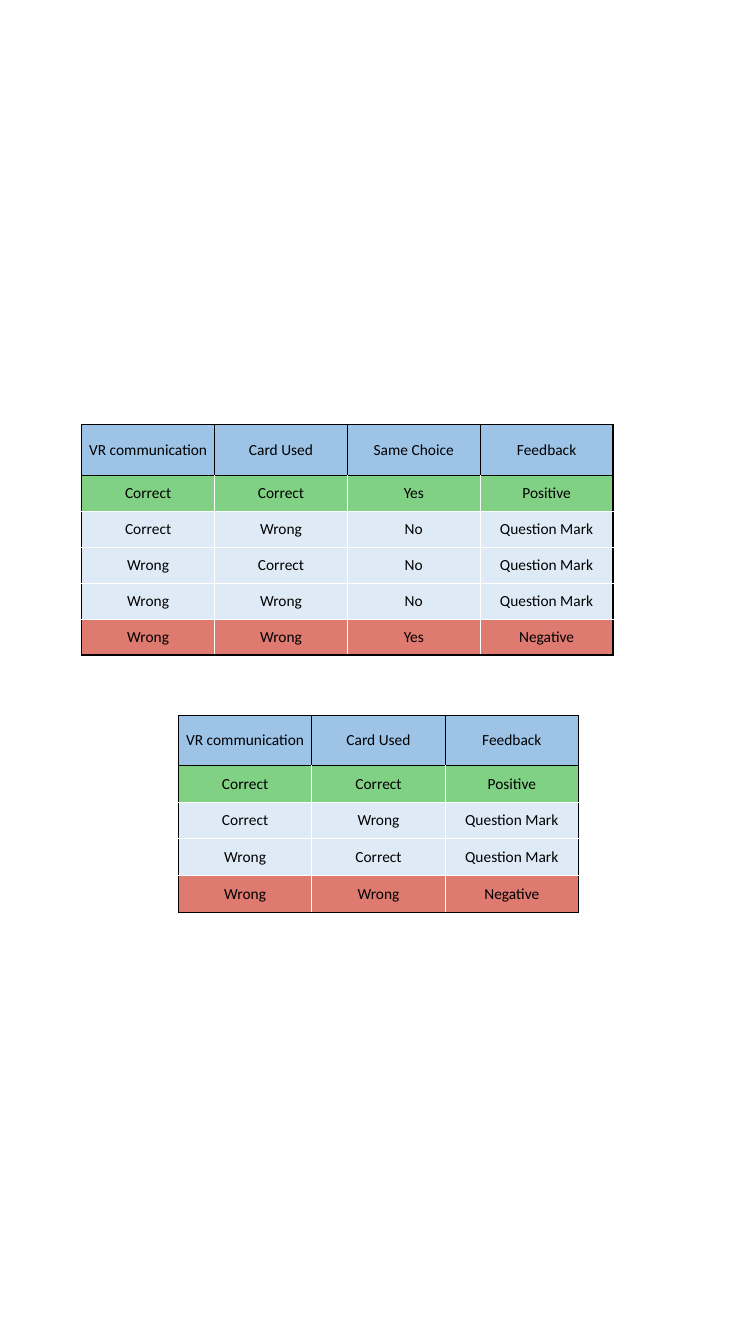
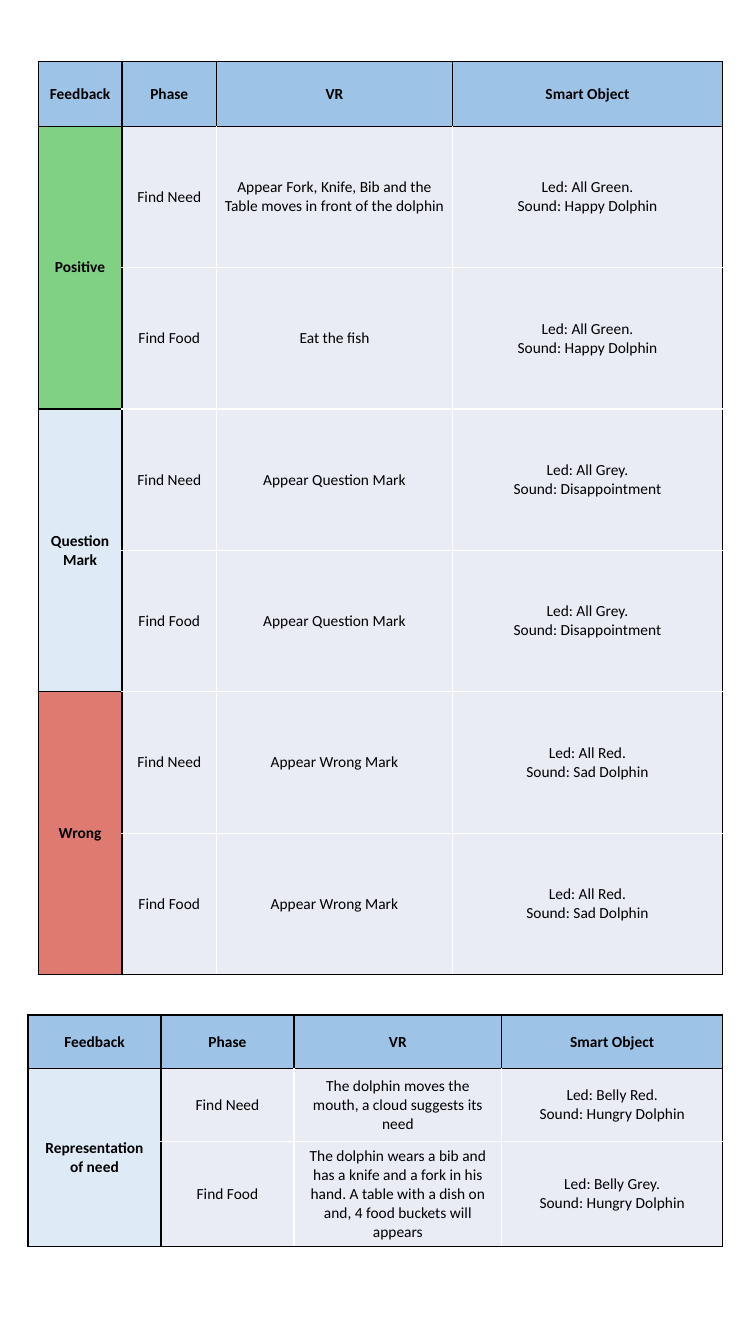
"""Build two slides of feedback tables for a dolphin learning game."""
from lxml import etree
from pptx import Presentation
from pptx.dml.color import RGBColor
from pptx.enum import text
from pptx.oxml import ns
from pptx.util import Pt

COLORS = {
    "ink": "000000", "grid": "FFFFFF", "header": "9DC3E6", "body": "E9EBF5",
    "good": "81D185", "unsure": "DEEBF7", "bad": "DE7A70",
}
OUTCOMES = {"Positive": "good", "Negative": "bad", "Wrong": "bad"}
FONT, SIZE, LINE = "Calibri", Pt(11), Pt(1)
TIGHT, LOOSE = (Pt(4.5), Pt(2.25)), (Pt(7.2), Pt(3.6))

CHOICES = [
    ("VR communication", "Card Used", "Same Choice", "Feedback"),
    ("Correct", "Correct", "Yes", "Positive"),
    ("Correct", "Wrong", "No", "Question Mark"),
    ("Wrong", "Correct", "No", "Question Mark"),
    ("Wrong", "Wrong", "No", "Question Mark"),
    ("Wrong", "Wrong", "Yes", "Negative"),
]
CARDS = [
    ("VR communication", "Card Used", "Feedback"),
    ("Correct", "Correct", "Positive"),
    ("Correct", "Wrong", "Question Mark"),
    ("Wrong", "Correct", "Question Mark"),
    ("Wrong", "Wrong", "Negative"),
]
PHASE_HEADER = ("Feedback", "Phase", "VR", "Smart Object")
REACTIONS = [
    ("Positive", "Appear Fork, Knife, Bib and the Table moves in front of the dolphin",
     "Eat the fish", "Led: All Green.\nSound: Happy Dolphin"),
    ("Question Mark", "Appear Question Mark", "Appear Question Mark",
     "Led: All Grey.\nSound: Disappointment"),
    ("Wrong", "Appear Wrong Mark", "Appear Wrong Mark",
     "Led: All Red.\nSound: Sad Dolphin"),
]
NEEDS = [
    PHASE_HEADER,
    ("Representation of need", "Find Need",
     "The dolphin moves the mouth, a cloud suggests its need",
     "Led: Belly Red.\nSound: Hungry Dolphin"),
    ("", "Find Food",
     "The dolphin wears a bib and has a knife and a fork in his hand. "
     "A table with a dish on and, 4 food buckets will appears",
     "Led: Belly Grey.\nSound: Hungry Dolphin"),
]


def reaction_rows():
    """Return the header and a need row and a food row for each reaction."""
    rows = [PHASE_HEADER]
    for label, need, food, signal in REACTIONS:
        rows += [(label, "Find Need", need, signal), ("", "Find Food", food, signal)]
    return rows


def set_borders(cell, edges):
    """Draw each edge of a cell, dark where its flag is true."""
    tc_pr = cell._tc.get_or_add_tcPr()
    for side, dark in zip("LRTB", edges):
        ln = etree.SubElement(tc_pr, ns.qn(f"a:ln{side}"), w=str(LINE))
        fill = etree.SubElement(ln, ns.qn("a:solidFill"))
        color = COLORS["ink" if dark else "grid"]
        etree.SubElement(fill, ns.qn("a:srgbClr"), val=color)


def style_cell(cell, content, fill, bold, margins):
    """Fill a cell and set its centred text."""
    cell.fill.solid()
    cell.fill.fore_color.rgb = RGBColor.from_string(COLORS[fill])
    cell.margin_left = cell.margin_right = margins[0]
    cell.margin_top = cell.margin_bottom = margins[1]
    cell.vertical_anchor = text.MSO_ANCHOR.MIDDLE
    cell.text = content
    for p in cell.text_frame.paragraphs:
        p.alignment = text.PP_ALIGN.CENTER
        p.font.name, p.font.size, p.font.bold = FONT, SIZE, bold
        p.font.color.rgb = RGBColor.from_string(COLORS["ink"])


def add_feedback_table(slide, left, top, widths, heights, rows,
                       grouped=False, margins=TIGHT):
    """Add a table coloured by outcome; grouped merges labels over row pairs."""
    last_row, last_col = len(rows) - 1, len(widths) - 1
    table = slide.shapes.add_table(
        len(rows), len(widths), Pt(left), Pt(top),
        Pt(sum(widths)), Pt(sum(heights))).table
    table.first_row = table.horz_banding = False
    for column, width in zip(table.columns, widths):
        column.width = Pt(width)
    for row, height in zip(table.rows, heights):
        row.height = Pt(height)
    for i, values in enumerate(rows):
        outcome = OUTCOMES.get(values[0 if grouped else -1], "unsure")
        for j, content in enumerate(values):
            label = grouped and j == 0
            framed = i == 0 or label
            fill = "header" if i == 0 else "body" if grouped and j else outcome
            cell = table.cell(i, j)
            set_borders(cell, (
                framed or j == 0 or (grouped and j == 1),
                framed or j == last_col,
                framed or i == 1,
                framed or i == last_row))
            style_cell(cell, content, fill, grouped and framed, margins)
    if grouped:
        for i in range(1, last_row, 2):
            table.cell(i, 0).merge(table.cell(i + 1, 0))


def main():
    """Build and save the deck."""
    prs = Presentation()
    prs.slide_width, prs.slide_height = Pt(540), Pt(960)
    blank = prs.slide_layouts[6]

    s = prs.slides.add_slide(blank)
    add_feedback_table(s, 127.5, 511.2, [95.25] * 3, [35.6] + [26.2] * 4, CARDS)
    add_feedback_table(s, 58.4, 303.1, [94.9] * 4, [36.7] + [25.65] * 5, CHOICES)

    s = prs.slides.add_slide(blank)
    add_feedback_table(s, 27.2, 44.2, [60, 67.5, 168.5, 193], [46] + [101] * 6,
                       reaction_rows(), grouped=True)
    add_feedback_table(s, 20, 725, [95, 95, 148.5, 157.7], [38.2, 52, 74], NEEDS,
                       grouped=True, margins=LOOSE)

    prs.save("out.pptx")


if __name__ == "__main__":
    main()
